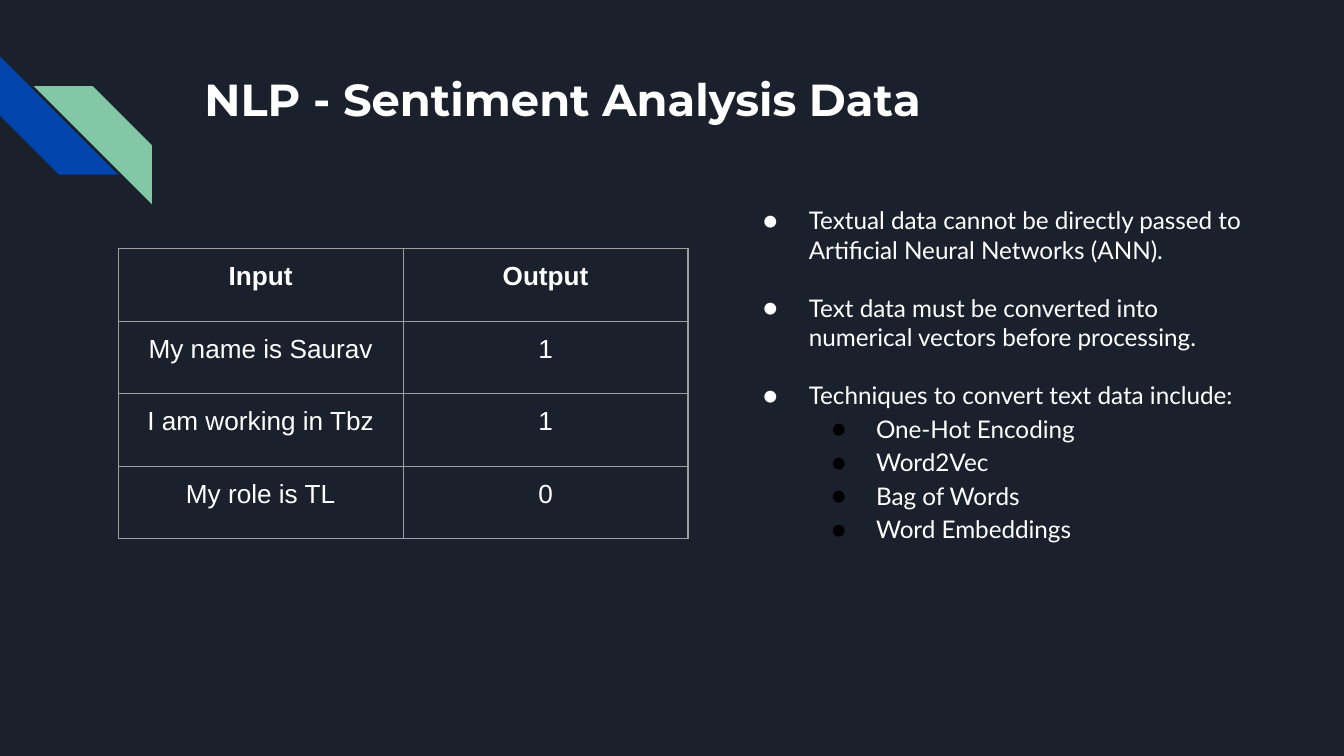
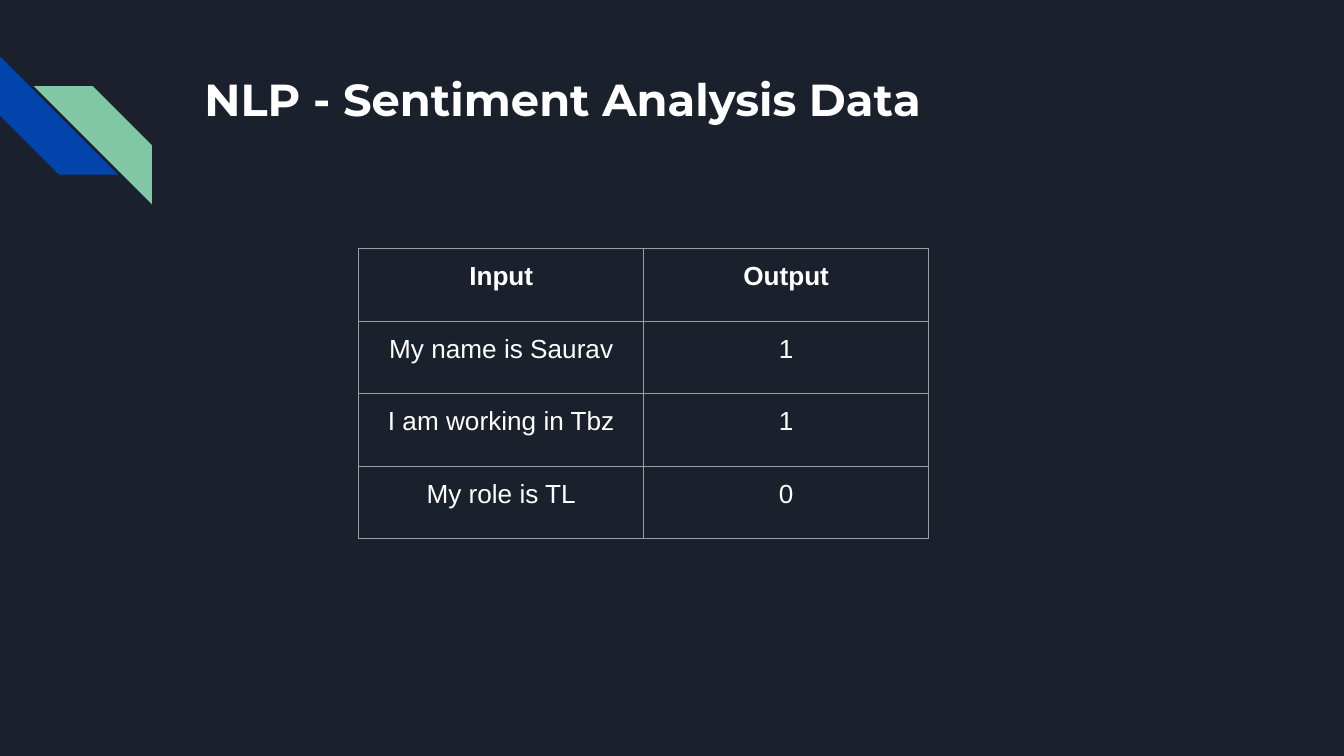
from lxml import etree
from pptx import Presentation
from pptx.dml.color import RGBColor
from pptx.enum.shapes import MSO_SHAPE
from pptx.enum.text import MSO_ANCHOR, PP_ALIGN
from pptx.oxml.ns import qn
from pptx.util import Inches, Pt

STRIPE = MSO_SHAPE.DIAGONAL_STRIPE
TOP = MSO_ANCHOR.TOP
LEFT, CENTER = PP_ALIGN.LEFT, PP_ALIGN.CENTER

NAVY = RGBColor(0x1B, 0x21, 0x2C)
BLUE = RGBColor(0x01, 0x45, 0xAC)
GREEN = RGBColor(0x82, 0xC7, 0xA5)
WHITE = RGBColor(0xFF, 0xFF, 0xFF)
BLACK = RGBColor(0x00, 0x00, 0x00)
GRAY = RGBColor(0x9E, 0x9E, 0x9E)

TITLE = "NLP - Sentiment Analysis Data"
SAMPLES = [
    ("Input", "Output"),
    ("My name is Saurav", "1"),
    ("I am working in Tbz", "1"),
    ("My role is TL", "0"),
]
POINTS = [
    "Textual data cannot be directly passed to Artificial Neural Networks (ANN).",
    "Text data must be converted into numerical vectors before processing.",
    "Techniques to convert text data include:",
]
TECHNIQUES = ["One-Hot Encoding", "Word2Vec", "Bag of Words", "Word Embeddings"]


def write(p, text, font="Arial", size=14, bold=False, align=LEFT):
    p.alignment = align
    r = p.add_run()
    r.text = text
    r.font.name = font
    r.font.size = Pt(size)
    r.font.bold = bold
    r.font.color.rgb = WHITE


def set_frame(tf):
    """Wrap the text from the top, with equal insets."""
    tf.word_wrap = True
    tf.vertical_anchor = TOP
    tf.margin_left = tf.margin_right = Inches(0.1)
    tf.margin_top = tf.margin_bottom = Inches(0.1)


def add_color(parent, color):
    etree.SubElement(parent, qn("a:srgbClr"), val=str(color))


def set_bullet(p, indent, hang, color):
    pPr = p._p.get_or_add_pPr()
    pPr.set("marL", str(Inches(indent)))
    pPr.set("indent", str(-Inches(hang)))
    add_color(etree.SubElement(pPr, qn("a:buClr")), color)
    etree.SubElement(pPr, qn("a:buFont"), typeface="Lato")
    etree.SubElement(pPr, qn("a:buChar"), char="●")


def set_borders(cell):
    tcPr = cell._tc.get_or_add_tcPr()
    for i, side in enumerate(("lnL", "lnR", "lnT", "lnB")):
        ln = etree.Element(qn(f"a:{side}"), w=str(Pt(0.75)))
        add_color(etree.SubElement(ln, qn("a:solidFill")), GRAY)
        tcPr.insert(i, ln)


def add_stripe(slide, left, top, color):
    side = Inches(0.88)
    sp = slide.shapes.add_shape(STRIPE, Inches(left), Inches(top), side, side)
    sp.shadow.inherit = False
    sp.fill.solid()
    sp.fill.fore_color.rgb = color
    sp.line.fill.background()
    return sp


def add_titled_slide(prs):
    """Add a slide with the two corner stripes and the title."""
    slide = prs.slides.add_slide(prs.slide_layouts[5])
    add_stripe(slide, 0, 0.42, BLUE).rotation = 270
    green = add_stripe(slide, 0.25, 0.64, GREEN)
    green._element.spPr.xfrm.set("flipH", "1")

    title = slide.shapes.title
    title.left, title.top = Inches(1.42), Inches(0.43)
    title.width, title.height = Inches(7.7), Inches(1)
    set_frame(title.text_frame)
    write(title.text_frame.paragraphs[0], TITLE, font="Montserrat", size=24, bold=True)
    return slide


def add_samples(slide, left, top, col_width=2.12, row_height=0.54):
    rows, cols = len(SAMPLES), len(SAMPLES[0])
    table = slide.shapes.add_table(
        rows, cols, Inches(left), Inches(top),
        Inches(cols * col_width), Inches(rows * row_height)).table
    table.first_row = table.horz_banding = False
    for i, sample in enumerate(SAMPLES):
        for j, text in enumerate(sample):
            cell = table.cell(i, j)
            cell.fill.background()
            cell.vertical_anchor = TOP
            cell.margin_left = cell.margin_right = Inches(0.1)
            cell.margin_top = cell.margin_bottom = Inches(0.1)
            set_borders(cell)
            write(cell.text_frame.paragraphs[0], text, bold=i == 0, align=CENTER)


def add_points(slide, left, top, width, height):
    """Add the bulleted points, with the techniques one level below."""
    box = slide.shapes.add_textbox(
        Inches(left), Inches(top), Inches(width), Inches(height))
    tf = box.text_frame
    set_frame(tf)
    for i, text in enumerate(POINTS):
        p = tf.add_paragraph() if i else tf.paragraphs[0]
        write(p, text, font="Lato", size=13)
        p.space_before = Pt(15.6 if i else 0)
        set_bullet(p, 0.5, 0.34, WHITE)
    for text in TECHNIQUES:
        p = tf.add_paragraph()
        write(p, text, font="Lato", size=13)
        p.line_spacing = 1.15
        set_bullet(p, 1, 0.33, BLACK)


def main():
    prs = Presentation()
    prs.slide_width = Inches(10)
    prs.slide_height = prs.slide_width * 9 // 16
    fill = prs.slide_master.background.fill
    fill.solid()
    fill.fore_color.rgb = NAVY

    slide = add_titled_slide(prs)
    add_points(slide, 5.42, 1.43, 4.01, 2.85)
    add_samples(slide, 0.88, 1.85)

    slide = add_titled_slide(prs)
    add_samples(slide, 2.67, 1.85)

    prs.save("out.pptx")


if __name__ == "__main__":
    main()
